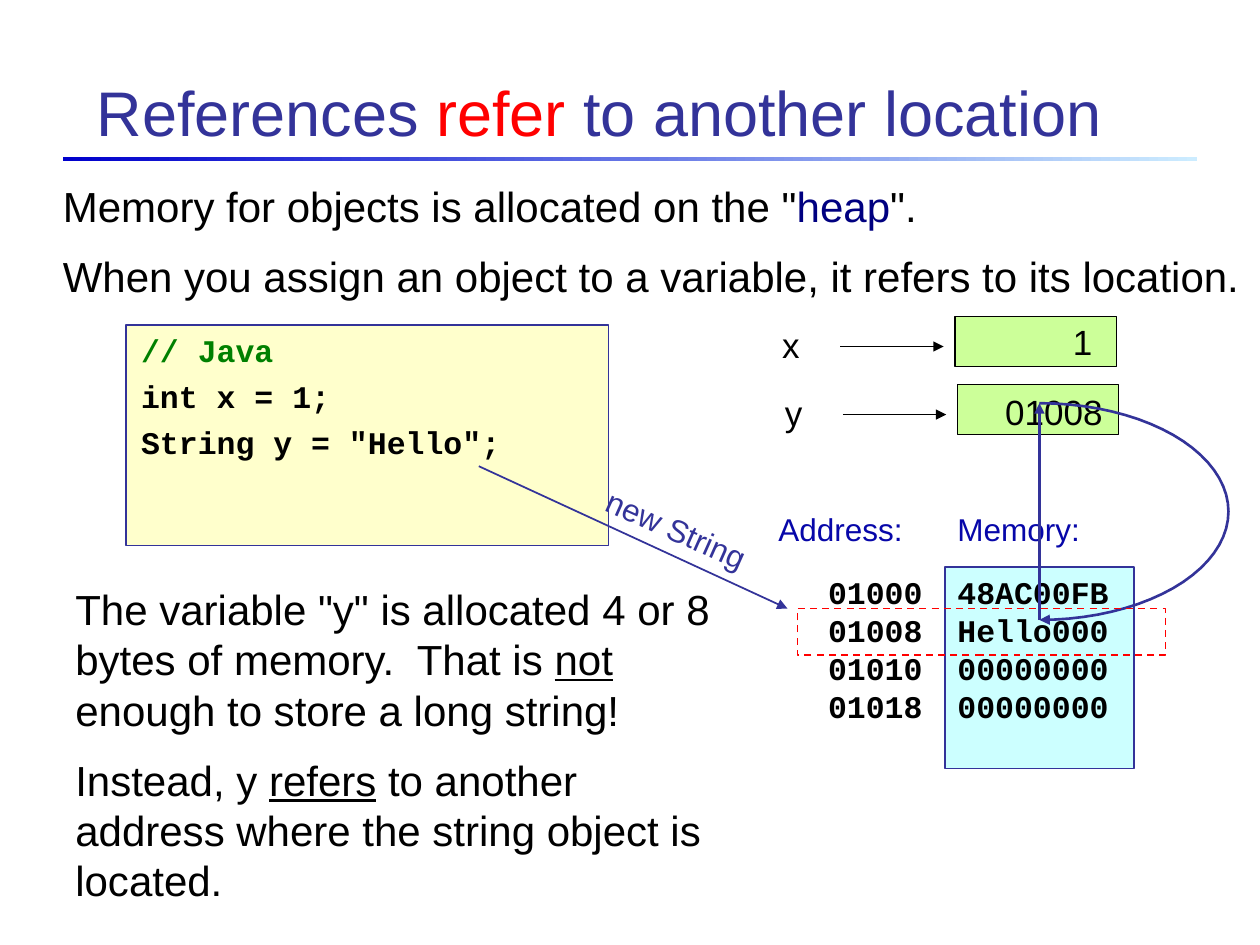
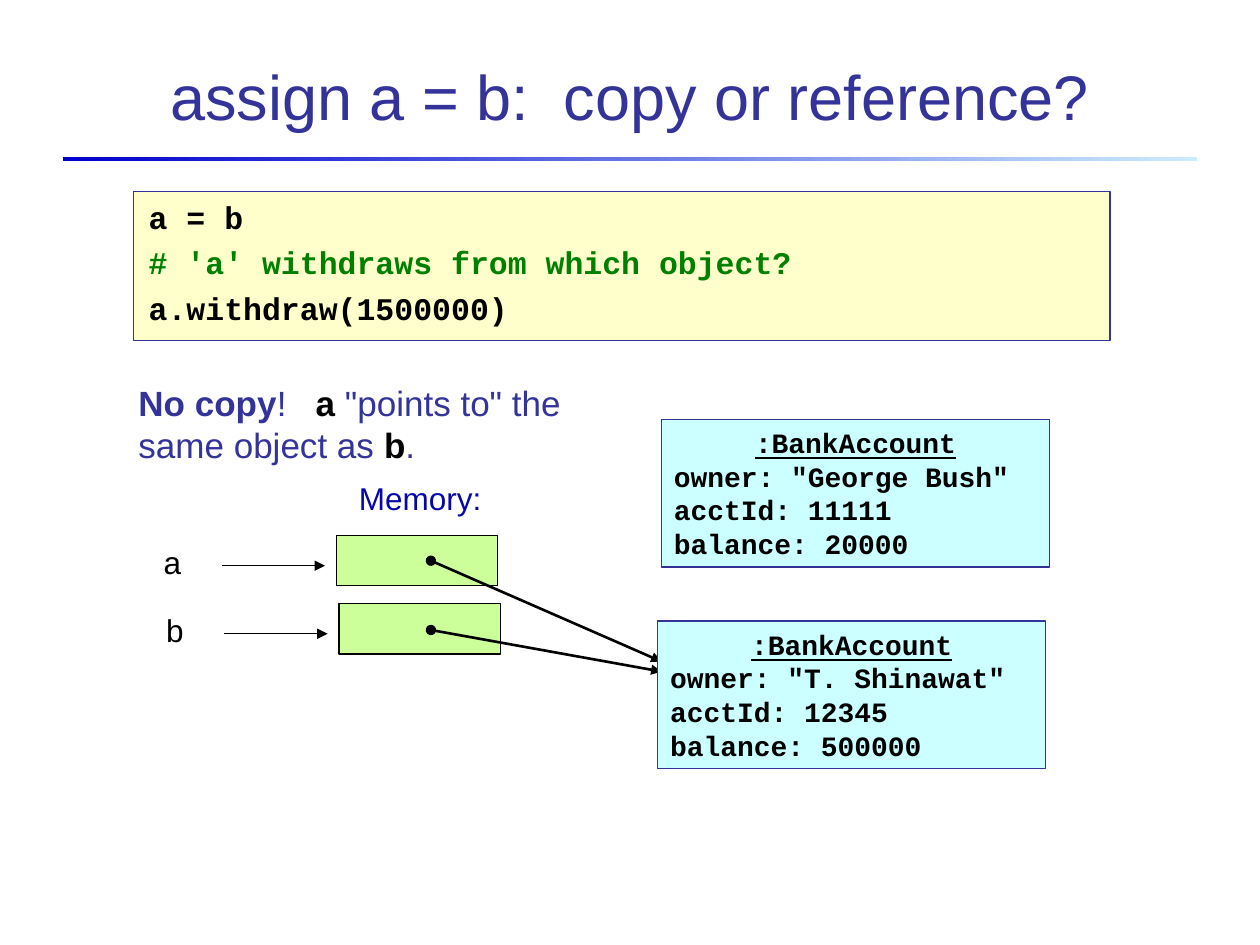
from math import cos, pi, sin

from lxml import etree
from pptx import Presentation
from pptx.dml.color import RGBColor
from pptx.enum.dml import MSO_LINE
from pptx.enum.shapes import MSO_CONNECTOR, MSO_SHAPE
from pptx.enum.text import MSO_ANCHOR, PP_ALIGN
from pptx.oxml.ns import qn
from pptx.util import Inches, Pt

BLACK = RGBColor(0x00, 0x00, 0x00)
RED = RGBColor(0xFF, 0x00, 0x00)
INDIGO = RGBColor(0x33, 0x33, 0x99)
NAVY = RGBColor(0x00, 0x00, 0x80)
LABEL_BLUE = RGBColor(0x07, 0x07, 0xA9)
COMMENT_GREEN = RGBColor(0x00, 0x80, 0x00)
BAR_DARK = RGBColor(0x00, 0x00, 0xCC)
BAR_LIGHT = RGBColor(0xCC, 0xEC, 0xFF)
CODE_FILL = RGBColor(0xFF, 0xFF, 0xCC)
VALUE_FILL = RGBColor(0xCC, 0xFF, 0x99)
MEMORY_FILL = RGBColor(0xCC, 0xFF, 0xFF)

SANS = "Arial"
MONO = "Courier New"
PARAGRAPH_GAP = 11.2
CODE_GAP = 4.5
LINE_HEIGHT = 1.2


class DeckBuilder:
    """Holds the deck, its style and the current page."""

    def __init__(self):
        self.deck = Presentation()
        self.deck.slide_width = Inches(10)
        self.deck.slide_height = Inches(7.5)
        self.page = None

    def start_page(self, title, align, anchor):
        self.page = self.deck.slides.add_slide(self.deck.slide_layouts[6])
        bar = self.shape(0.5, 1.25, 9, 0.03)
        bar.fill.gradient()
        bar.fill.gradient_angle = 0
        for stop, color in zip(bar.fill.gradient_stops, (BAR_DARK, BAR_LIGHT)):
            stop.color.rgb = color
        box = self.text(0.67, 0.28, 8.66, 0.95, [title], 36, INDIGO, align=align)
        box.text_frame.vertical_anchor = anchor

    def shape(self, left, top, width, height, fill=None, line=None, weight=0.75):
        box = self.page.shapes.add_shape(
            MSO_SHAPE.RECTANGLE, Inches(left), Inches(top), Inches(width), Inches(height))
        box.shadow.inherit = False
        if fill is None:
            box.fill.background()
        else:
            box.fill.solid()
            box.fill.fore_color.rgb = fill
        self.outline(box, line, weight)
        return box

    def outline(self, item, color, weight):
        if color is None:
            item.line.fill.background()
        else:
            item.line.color.rgb = color
            item.line.width = Pt(weight)

    def set_text(self, box, paragraphs, size, color=BLACK, font=SANS, bold=False,
                 gap=0, align=PP_ALIGN.LEFT):
        """Each paragraph is a string or a list of strings and (text, style) pairs."""
        frame = box.text_frame
        frame.word_wrap = True
        frame.vertical_anchor = MSO_ANCHOR.TOP
        for index, spans in enumerate(paragraphs):
            para = frame.add_paragraph() if index else frame.paragraphs[0]
            para.alignment = align
            para.line_spacing = Pt(size * LINE_HEIGHT)
            para.space_before = Pt(gap if index else 0)
            for span in [spans] if isinstance(spans, str) else spans:
                words, style = (span, {}) if isinstance(span, str) else span
                run = para.add_run()
                run.text = words
                run.font.name = font
                run.font.size = Pt(size)
                run.font.bold = style.get("bold", bold)
                run.font.underline = style.get("underline", False)
                run.font.color.rgb = style.get("color", color)

    def text(self, left, top, width, height, paragraphs, size, color=BLACK, **style):
        box = self.page.shapes.add_textbox(
            Inches(left), Inches(top), Inches(width), Inches(height))
        self.set_text(box, paragraphs, size, color, **style)
        return box

    def code(self, left, top, width, height, lines):
        box = self.shape(left, top, width, height, CODE_FILL, INDIGO)
        self.set_text(box, lines, 18, font=MONO, bold=True, gap=CODE_GAP)
        box.text_frame.margin_left = Inches(0.12)

    def arrow(self, start, end, color=BLACK, weight=0.75, head=None):
        line = self.page.shapes.add_connector(
            MSO_CONNECTOR.STRAIGHT, *(Inches(value) for value in start + end))
        self.outline(line, color, weight)
        self.line_ends(line, head)
        etree.SubElement(line._element.spPr, qn("a:effectLst"))

    def line_ends(self, item, head=None):
        line = item._element.spPr.find(qn("a:ln"))
        if head:
            etree.SubElement(line, qn("a:headEnd"), type=head)
        etree.SubElement(line, qn("a:tailEnd"), type="triangle")

    def variable(self, name, left, top, size):
        """A name, an arrow and the memory cell it points to."""
        cell = self.shape(left, top, 1.28, 0.4, VALUE_FILL, BLACK)
        self.text(left - 1.47, top + 0.01, 0.41, 0.44, [name], size)
        self.arrow((left - 0.91, top + 0.24), (left - 0.09, top + 0.24))
        return cell

    def half_loop(self, center_x, center_y, radius_x, radius_y, steps=40):
        """A spoke going up, then an arc back down on the right."""
        arc = [(Inches(center_x + radius_x * sin(pi * step / steps)),
                Inches(center_y - radius_y * cos(pi * step / steps)))
               for step in range(steps + 1)]
        builder = self.page.shapes.build_freeform(*arc[-1], scale=1.0)
        builder.add_line_segments(arc[:1], close=False)
        builder.move_to(*arc[0])
        builder.add_line_segments(arc[1:], close=False)
        loop = builder.convert_to_shape()
        loop.shadow.inherit = False
        loop.fill.background()
        self.outline(loop, INDIGO, 1.5)
        self.line_ends(loop)

    def account(self, left, top, owner, number, balance):
        box = self.shape(left, top, 3.08, 1.17, MEMORY_FILL, INDIGO)
        self.set_text(box, [[(":BankAccount", {"underline": True})],
                            f'owner: "{owner}"', f"acctId: {number}", f"balance: {balance}"],
                      16, font=MONO, bold=True)
        box.text_frame.paragraphs[0].alignment = PP_ALIGN.CENTER


def build_references_page(builder):
    builder.start_page(["References ", ("refer", {"color": RED}), " to another location"],
                       PP_ALIGN.LEFT, MSO_ANCHOR.BOTTOM)
    builder.code(1, 2.58, 3.83, 1.75, [
        [("// Java", {"color": COMMENT_GREEN})], "int x = 1;", 'String y = "Hello";'])

    # Variables and their values
    x_cell = builder.variable("x", 7.58, 2.51, 20)
    builder.set_text(x_cell, ["1"], 20, align=PP_ALIGN.RIGHT)
    x_cell.text_frame.vertical_anchor = MSO_ANCHOR.MIDDLE
    x_cell.text_frame.margin_right = Inches(0.19)
    builder.variable("y", 7.6, 3.05, 20)
    builder.text(7.88, 3.05, 1.04, 0.44, ["01008"], 20)

    builder.text(0.4, 1.38, 9.68, 1.06, [
        ['Memory for objects is allocated on the "', ("heap", {"color": NAVY}), '".'],
        "When you assign an object to a variable, it refers to its location."],
        24, gap=PARAGRAPH_GAP)

    # Memory map
    memory = builder.shape(7.5, 4.5, 1.5, 1.6, MEMORY_FILL, INDIGO)
    builder.set_text(memory, ["48AC00FB", "Hello000", "00000000", "00000000"],
                     18, font=MONO, bold=True)
    builder.text(5.92, 4.5, 1.5, 1.6, ["01000", "01008", "01010", "01018"],
                 18, font=MONO, bold=True, align=PP_ALIGN.RIGHT)
    for left, heading in ((7.5, "Memory:"), (6.08, "Address:")):
        builder.text(left, 4, 1.27, 0.4, [heading], 18, LABEL_BLUE)
    builder.arrow((3.8, 3.7), (6.25, 4.83), INDIGO, 1)

    # Explanation
    builder.text(0.5, 4.58, 5.3, 2.66, [
        ['The variable "y" is allocated 4 or 8 bytes of memory.  That is ',
         ("not", {"underline": True}), " enough to store a long string!"],
        ["Instead, y ", ("refers", {"underline": True}),
         " to another address where the string object is located."]],
        24, gap=PARAGRAPH_GAP)

    # Reference from y to the string
    builder.half_loop(8.25, 4.06, 1.5, 0.86)
    target = builder.shape(6.33, 4.83, 2.92, 0.37, line=RED, weight=1)
    target.line.dash_style = MSO_LINE.DASH
    creation = builder.text(4.68, 4, 1.38, 0.4, ["new String"], 18, INDIGO)
    creation.rotation = 24


def build_assignment_page(builder):
    builder.start_page("assign a = b:  copy or reference?", PP_ALIGN.CENTER, MSO_ANCHOR.MIDDLE)
    builder.code(1.06, 1.52, 7.75, 1.18, [
        "a = b", [("# 'a' withdraws from which object?", {"color": COMMENT_GREEN})],
        "a.withdraw(1500000)"])

    # Variables pointing to the same object
    builder.variable("a", 2.67, 4.25, 18)
    builder.variable("b", 2.69, 4.79, 18)
    builder.text(2.75, 3.75, 1.27, 0.4, ["Memory:"], 18, LABEL_BLUE)
    for start, end in (((3.42, 5), (5.25, 5.33)), ((3.42, 4.45), (5.25, 5.25))):
        builder.arrow(start, end, weight=1.5, head="oval")

    # Answer
    name_style = {"bold": True, "color": BLACK}
    builder.text(1, 2.98, 3.75, 0.77, [
        [("No copy", {"bold": True}), "!   ", ("a", name_style),
         ' "points to" the same object as ', ("b", name_style), "."]], 20, INDIGO)

    # Objects
    builder.account(5.22, 4.93, "T. Shinawat", 12345, 500000)
    builder.account(5.25, 3.33, "George Bush", 11111, 20000)


def main():
    builder = DeckBuilder()
    build_references_page(builder)
    build_assignment_page(builder)
    builder.deck.save("out.pptx")


if __name__ == "__main__":
    main()
